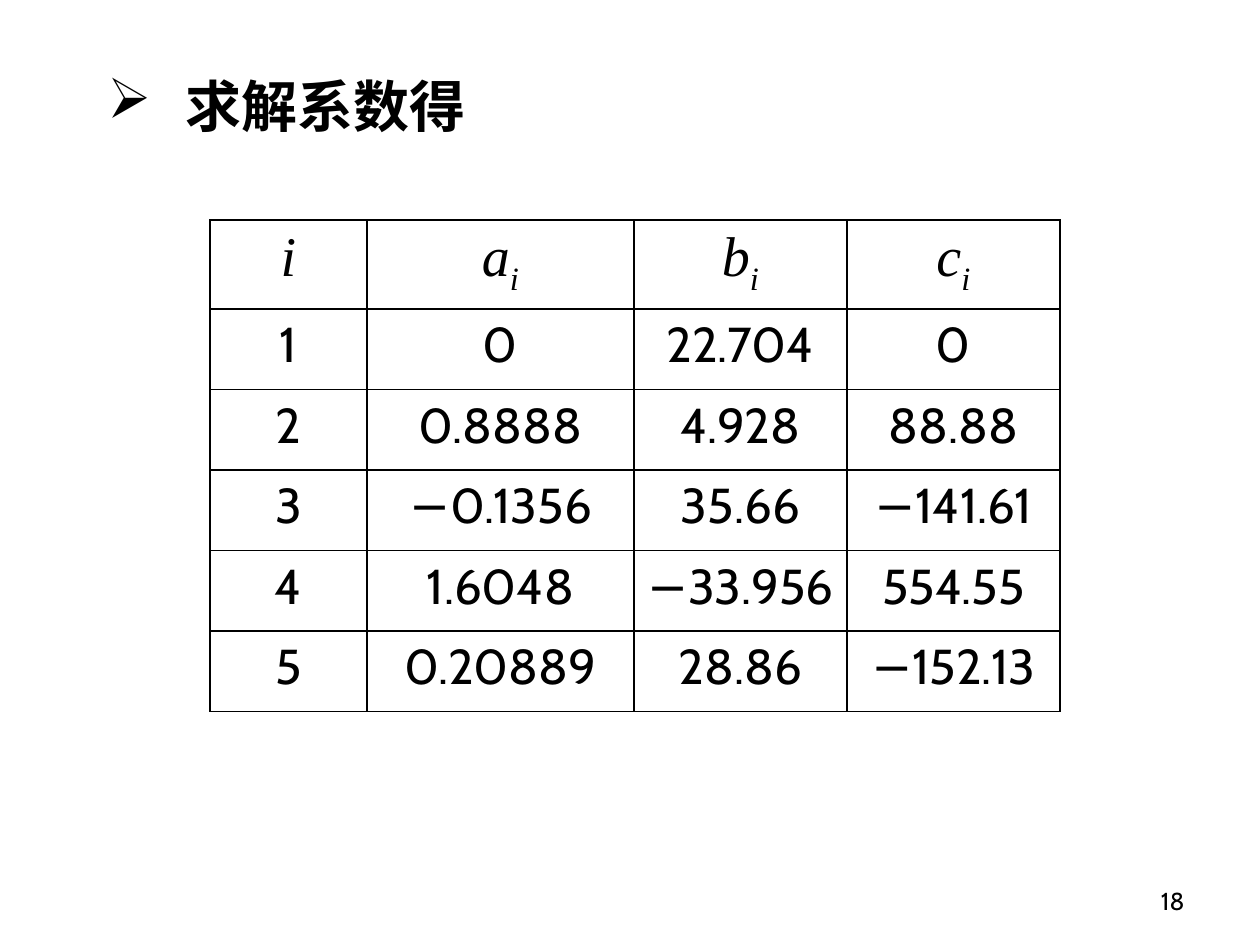
from lxml.etree import SubElement
from pptx import Presentation
from pptx.dml.color import RGBColor
from pptx.enum.text import MSO_ANCHOR, PP_ALIGN
from pptx.oxml.ns import qn
from pptx.util import Pt

PX = 914400 // 126
BLACK = RGBColor(0, 0, 0)
WHITE = RGBColor(255, 255, 255)


def style(paragraph, size, font="Cabin", align=PP_ALIGN.CENTER):
    paragraph.alignment = align
    paragraph.font.name = font
    paragraph.font.size = Pt(size)
    paragraph.font.color.rgb = BLACK


def add_text(text, left, top, width, height):
    """Add a one-line text box, centred vertically, and return its paragraph."""
    box = slide.shapes.add_textbox(left * PX, top * PX, width * PX, height * PX)
    box.text_frame.word_wrap = True
    box.text_frame.vertical_anchor = MSO_ANCHOR.MIDDLE
    paragraph = box.text_frame.paragraphs[0]
    paragraph.text = text
    return paragraph


prs = Presentation()
prs.slide_width, prs.slide_height = 1260 * PX, 945 * PX
slide = prs.slides.add_slide(prs.slide_layouts[6])
slide.background.fill.solid()
slide.background.fill.fore_color.rgb = WHITE

page_number = add_text("18", 903, 876, 294, 50)
style(page_number, 14, align=PP_ALIGN.RIGHT)

title = add_text("求解系数得", 95, 27, 1071, 157)
indent = 78 * PX
title_props = title._p.get_or_add_pPr()
title_props.set("marL", str(indent))
title_props.set("indent", str(-indent))
SubElement(title_props, qn("a:buChar"), char="➢")
style(title, 32, align=PP_ALIGN.LEFT)
title.font.bold = True

# Each heading is a symbol and its subscript
HEADINGS = [("i", ""), ("a", "i"), ("b", "i"), ("c", "i")]
COEFFICIENTS = [
    ("1", "0", "22.704", "0"),
    ("2", "0.8888", "4.928", "88.88"),
    ("3", "−0.1356", "35.66", "−141.61"),
    ("4", "1.6048", "−33.956", "554.55"),
    ("5", "0.20889", "28.86", "−152.13"),
]
COLUMN_WIDTHS = [157, 267, 213, 213]
TABLE_HEIGHT = 483

row_count = len(COEFFICIENTS) + 1
table = slide.shapes.add_table(
    row_count, len(HEADINGS), 210 * PX, 220 * PX,
    sum(COLUMN_WIDTHS) * PX, TABLE_HEIGHT * PX).table
table.first_row = table.horz_banding = False
for column, width in zip(table.columns, COLUMN_WIDTHS):
    column.width = width * PX
for row in table.rows:
    row.height = TABLE_HEIGHT * PX // row_count

for cell in table.iter_cells():
    cell_props = cell._tc.get_or_add_tcPr()
    for side in ("a:lnL", "a:lnR", "a:lnT", "a:lnB"):
        border = SubElement(cell_props, qn(side), w=str(Pt(1)))
        border_fill = SubElement(border, qn("a:solidFill"))
        SubElement(border_fill, qn("a:srgbClr"), val=str(BLACK))
    cell.fill.background()

for col, (symbol, subscript) in enumerate(HEADINGS):
    heading = table.cell(0, col).text_frame.paragraphs[0]
    heading.add_run().text = symbol
    if subscript:
        index = heading.add_run()
        index.text = subscript
        index.font._rPr.set("baseline", "-25000")
    style(heading, 32, "Times New Roman")
    heading.font.italic = True

for row, values in enumerate(COEFFICIENTS, start=1):
    for col, value in enumerate(values):
        entry = table.cell(row, col).text_frame.paragraphs[0]
        entry.text = value
        style(entry, 28)

prs.save("out.pptx")
